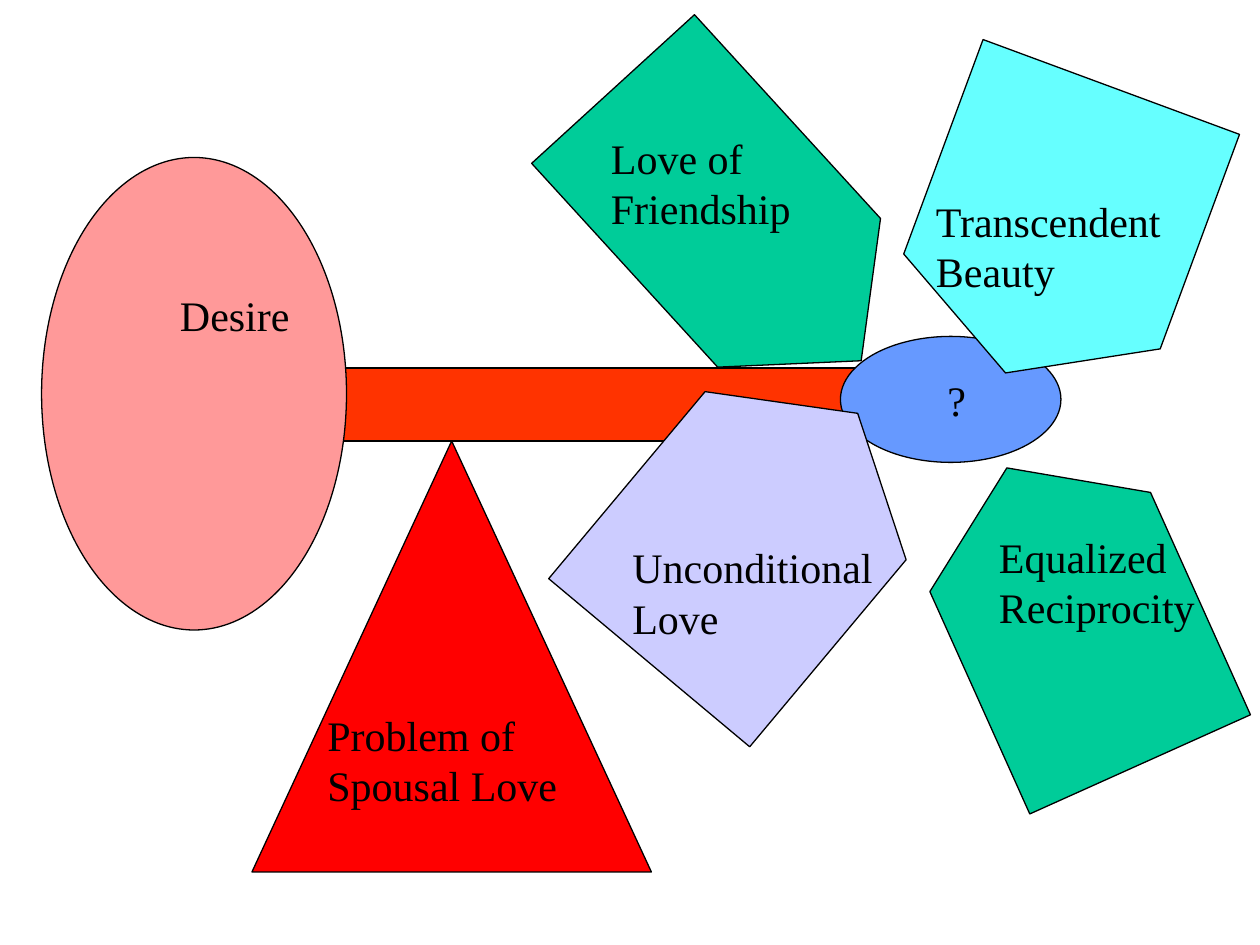
import pptx
import pptx.dml.color
import pptx.enum.shapes
import pptx.enum.text
import pptx.util

Inches = pptx.util.Inches
Preset = pptx.enum.shapes.MSO_SHAPE

COLOURS = {
    "ink": "000000",
    "problem": "FF0000",
    "beam": "FF3300",
    "desire": "FF9999",
    "question": "6699FF",
    "green": "00CC99",
    "beauty": "66FFFF",
    "unconditional": "CCCCFF",
}


class LoveDiagram:
    """Draws outlined shapes and labels in one style on the current slide."""

    font_name = "Times New Roman"
    font_size = pptx.util.Pt(24)
    line_width = pptx.util.Pt(0.75)

    def __init__(self, page):
        self.page = page

    def colour(self, name):
        return pptx.dml.color.RGBColor.from_string(COLOURS[name])

    def fill(self, shape, name):
        shape.fill.solid()
        shape.fill.fore_color.rgb = self.colour(name)

    def shape(self, preset, left, top, width, height, fill):
        shape = self.page.shapes.add_shape(
            preset, Inches(left), Inches(top), Inches(width), Inches(height)
        )
        shape.shadow.inherit = False
        self.fill(shape, fill)
        shape.line.color.rgb = self.colour("ink")
        shape.line.width = self.line_width
        return shape

    def pentagon(self, left, top, width, height, rotation, fill):
        shape = self.shape(Preset.PENTAGON, left, top, width, height, fill)
        shape.adjustments[0] = width / 4 / height
        shape.rotation = rotation

    def label(self, text, left, top, width, height, fill=None):
        box = self.page.shapes.add_textbox(
            Inches(left), Inches(top), Inches(width), Inches(height)
        )
        if fill:
            self.fill(box, fill)
        frame = box.text_frame
        frame.word_wrap = True
        frame.auto_size = pptx.enum.text.MSO_AUTO_SIZE.SHAPE_TO_FIT_TEXT
        para = frame.paragraphs[0]
        para.text = text
        para.font.name = self.font_name
        para.font.size = self.font_size
        para.font.color.rgb = self.colour("ink")


def main():
    deck = pptx.Presentation()
    deck.slide_width = Inches(10)
    deck.slide_height = Inches(7.5)
    diagram = LoveDiagram(deck.slides.add_slide(deck.slide_layouts[6]))

    diagram.shape(Preset.FLOWCHART_EXTRACT, 2, 3.5, 3.17, 3.42, "problem")
    diagram.label("Problem of Spousal Love", 2.5, 5.58, 2.33, 0.9)
    diagram.shape(Preset.RECTANGLE, 2.67, 2.92, 4.17, 0.58, "beam")
    diagram.shape(Preset.OVAL, 0.33, 1.25, 2.42, 3.75, "desire")
    diagram.label("Desire", 1.33, 2.25, 1.17, 0.5)
    diagram.shape(Preset.OVAL, 6.67, 2.67, 1.75, 1, "question")
    diagram.label("?", 7.42, 2.92, 0.33, 0.5, "question")

    diagram.pentagon(4.39, 0.91, 2.92, 1.75, 47.6, "green")
    diagram.label("Love of Friendship", 4.75, 1, 1.92, 0.9)
    diagram.pentagon(7.19, 0.74, 2.42, 2.17, 110.3, "beauty")
    diagram.label("Transcendent Beauty", 7.33, 1.5, 2, 0.9)
    diagram.pentagon(4.69, 3.23, 2.58, 2.08, 309.9, "unconditional")
    diagram.label("Unconditional Love", 4.92, 4.25, 2.25, 0.9)
    diagram.pentagon(7.23, 3.93, 2.58, 1.92, 245.8, "green")
    diagram.label("Equalized Reciprocity", 7.83, 4.17, 2.17, 0.9)

    deck.save("out.pptx")


if __name__ == "__main__":
    main()
